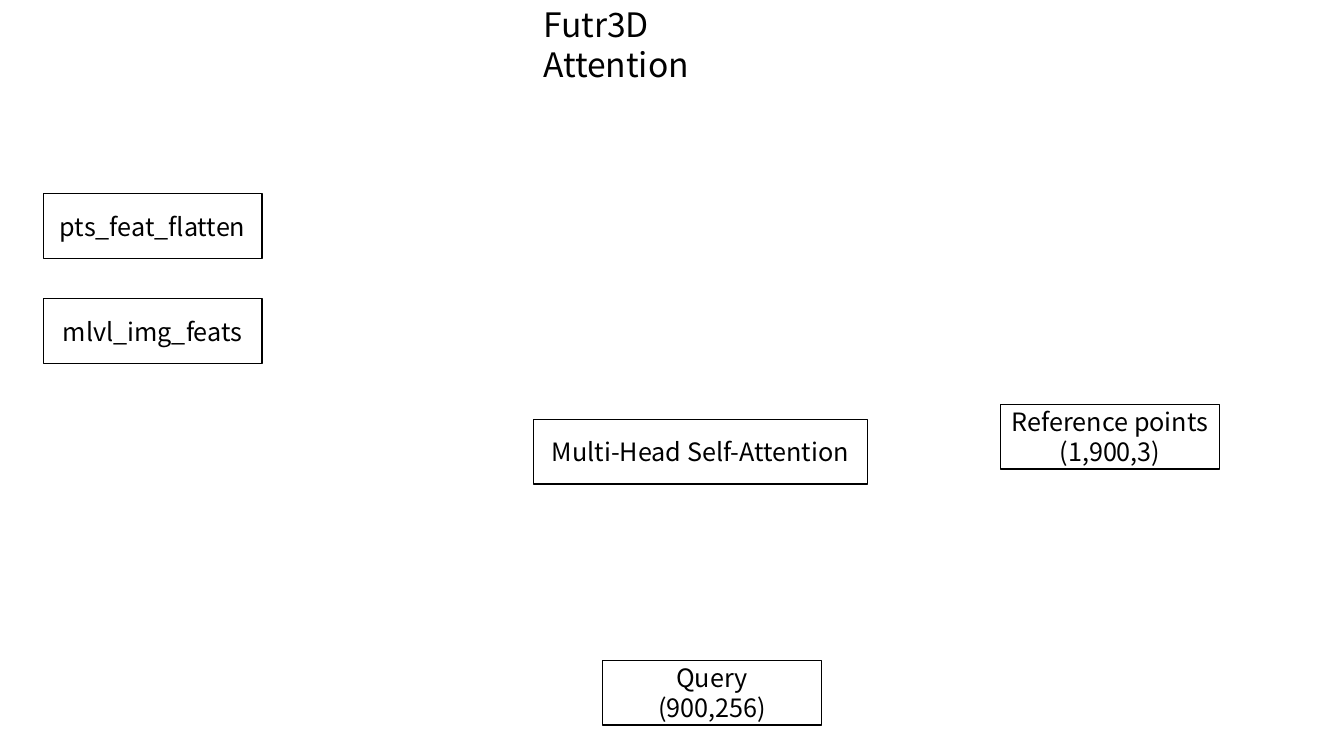
from dataclasses import dataclass

from pptx import Presentation
from pptx import util as u
from pptx.dml.color import RGBColor
from pptx.enum import shapes, text


@dataclass(frozen=True)
class Theme:
    font: str = "Noto Sans CJK SC"
    ink: RGBColor = RGBColor(0x00, 0x00, 0x00)
    title_size: int = 24
    label_size: int = 18
    line_width: int = 1


THEME = Theme()
BLOCK_WIDTH, BLOCK_HEIGHT = 5.51, 1.63
FEATURE_PITCH = 2.65


def set_attributes(target, values):
    for name, value in values.items():
        setattr(target, name, value)


def write_lines(frame, lines, size, alignment):
    """Write one paragraph per line in the theme font."""
    for index, line in enumerate(lines):
        paragraph = frame.paragraphs[0] if index == 0 else frame.add_paragraph()
        paragraph.alignment = alignment
        run = paragraph.add_run()
        run.text = line
        set_attributes(run.font, {"name": THEME.font, "size": u.Pt(size)})
        run.font.color.rgb = THEME.ink


def add_title(slide, box, title):
    frame = slide.shapes.add_textbox(*map(u.Cm, box)).text_frame
    set_attributes(frame, {"word_wrap": True,
                           "auto_size": text.MSO_AUTO_SIZE.SHAPE_TO_FIT_TEXT})
    write_lines(frame, [title], THEME.title_size, text.PP_ALIGN.LEFT)


def add_block(slide, box, lines):
    """Draw an outlined box with a centred label."""
    shape = slide.shapes.add_shape(shapes.MSO_SHAPE.RECTANGLE, *map(u.Cm, box))
    shape.shadow.inherit = False
    shape.fill.background()
    shape.line.color.rgb = THEME.ink
    shape.line.width = u.Pt(THEME.line_width)
    set_attributes(shape.text_frame, {"word_wrap": True,
                                      "vertical_anchor": text.MSO_ANCHOR.MIDDLE})
    write_lines(shape.text_frame, lines, THEME.label_size, text.PP_ALIGN.CENTER)


def add_features(slide, box, names):
    """Stack the input features downwards from the first box."""
    left, top, width, height = box
    for row, name in enumerate(names):
        add_block(slide, (left, top + row * FEATURE_PITCH, width, height), [name])


def add_attention_slide(presentation):
    slide = presentation.slides.add_slide(presentation.slide_layouts[6])

    # Title
    add_title(slide, (13.44, -0.03, 6.65, 1.27), "Futr3D Attention")

    # Input features
    add_features(slide, (1.09, 4.88, BLOCK_WIDTH, BLOCK_HEIGHT),
                 ["pts_feat_flatten", "mlvl_img_feats"])

    # Query, reference points and self-attention
    add_block(slide, (15.19, 16.64, BLOCK_WIDTH, BLOCK_HEIGHT),
              ["Query", "(900,256)"])
    add_block(slide, (25.22, 10.19, BLOCK_WIDTH, BLOCK_HEIGHT),
              ["Reference points", "(1,900,3)"])
    add_block(slide, (13.44, 10.57, 8.43, BLOCK_HEIGHT),
              ["Multi-Head Self-Attention"])


def main():
    presentation = Presentation()
    set_attributes(presentation, {"slide_width": u.Cm(33.87),
                                  "slide_height": u.Cm(19.05)})
    add_attention_slide(presentation)
    presentation.save("out.pptx")


if __name__ == "__main__":
    main()
